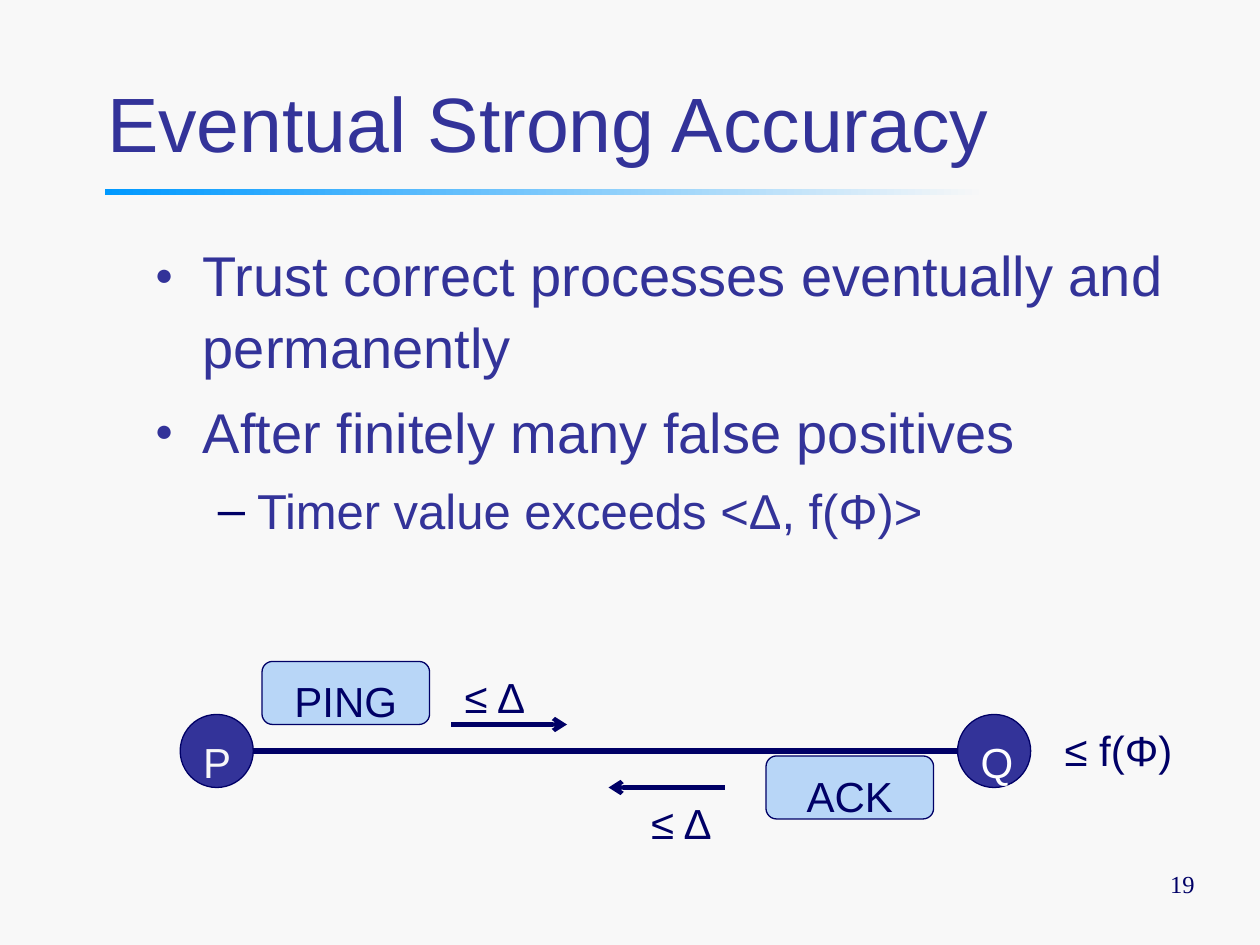
import lxml.etree
import pptx
import pptx.dml.color
import pptx.enum.shapes
import pptx.enum.text
import pptx.oxml.ns
import pptx.util
from pptx.util import Inches

NAVY, INDIGO, PALE, PAPER = "000066", "333399", "B8D6F7", "F8F8F8"
ALIGN = pptx.enum.text.PP_ALIGN
ANCHOR = pptx.enum.text.MSO_ANCHOR
SHAPE = pptx.enum.shapes.MSO_SHAPE
DIAMETER = 0.58
TAG_SIZE = (1.33, 0.5)


def color(value):
    return pptx.dml.color.RGBColor.from_string(value)


def add_element(parent, name, **attributes):
    return lxml.etree.SubElement(parent, pptx.oxml.ns.qn(name), attributes)


def place(shape, left, top, width, height):
    shape.left, shape.top = Inches(left), Inches(top)
    shape.width, shape.height = Inches(width), Inches(height)


def write(para, text, size=24, font="Arial", ink=NAVY, align=ALIGN.LEFT,
          before=0, spacing=1.0):
    para.alignment = align
    para.space_before = pptx.util.Pt(before)
    para.line_spacing = spacing
    span = para.add_run()
    span.text = text
    span.font.size = pptx.util.Pt(size)
    span.font.name = font
    span.font.color.rgb = color(ink)


def set_frame(shape, anchor=ANCHOR.TOP, wrap=True, top=0.05):
    frame = shape.text_frame
    frame.auto_size = pptx.enum.text.MSO_AUTO_SIZE.NONE
    frame.word_wrap = wrap
    frame.vertical_anchor = anchor
    frame.margin_left = frame.margin_right = Inches(0.1)
    frame.margin_top, frame.margin_bottom = Inches(top), Inches(0.05)
    return frame


def set_bullet(para, char, ink, percent, left, hanging):
    properties = para._p.get_or_add_pPr()
    properties.set("marL", str(Inches(left)))
    properties.set("indent", str(-Inches(hanging)))
    add_element(add_element(properties, "a:buClr"), "a:srgbClr", val=ink)
    add_element(properties, "a:buSzPct", val=str(percent * 1000))
    add_element(properties, "a:buFont", typeface="Arial")
    add_element(properties, "a:buChar", char=char)


def add_title(page, text):
    title = page.shapes.title
    place(title, 0.75, 0.17, 8.5, 1.21)
    frame = set_frame(title, ANCHOR.BOTTOM)
    write(frame.paragraphs[0], text, size=44, ink=INDIGO)


def add_title_rule(page):
    rule = page.shapes.add_shape(
        SHAPE.RECTANGLE, Inches(0.83), Inches(1.5), Inches(7), Inches(0.05))
    rule.shadow.inherit = False
    rule.line.fill.background()
    rule.fill.gradient()
    rule.fill.gradient_angle = 0
    for stop, ink in zip(rule.fill.gradient_stops, ("0099FF", PAPER)):
        stop.color.rgb = color(ink)


def add_body(page, items):
    body = page.placeholders[1]
    place(body, 1.13, 1.83, 8.45, 2.58)
    frame = set_frame(body)
    for index, (level, text) in enumerate(items):
        para = frame.add_paragraph() if index else frame.paragraphs[0]
        para.level = level
        if level:
            set_bullet(para, "–", NAVY, 100, 0.81, 0.31)
        else:
            set_bullet(para, "●", INDIGO, 55, 0.38, 0.38)
        write(para, text, size=28 if level else 32, ink=INDIGO,
              before=(7 if level else 8) if index else 0, spacing=1.06)


def add_box(page, kind, text, left, top, size, fill, **text_format):
    box = page.shapes.add_shape(
        kind, Inches(left), Inches(top), *map(Inches, size))
    box.shadow.inherit = False
    box.fill.solid()
    box.fill.fore_color.rgb = color(fill)
    box.line.color.rgb = color(NAVY)
    box.line.width = pptx.util.Pt(0.75)
    frame = set_frame(box, top=0.09)
    write(frame.paragraphs[0], text, **text_format)


def add_label(page, text, left, top, width, anchor=ANCHOR.TOP, wrap=False,
              **text_format):
    label = page.shapes.add_textbox(
        Inches(left), Inches(top), Inches(width), Inches(0.5))
    frame = set_frame(label, anchor, wrap, top=0.08)
    write(frame.paragraphs[0], text, **text_format)


def style_line(line, weight, head=None):
    line.color.rgb = color(NAVY)
    line.width = pptx.util.Pt(weight)
    if head:
        add_element(line._get_or_add_ln(), "a:tailEnd", type=head)


def add_line(page, start, end, weight, head=None):
    connector = page.shapes.add_connector(
        pptx.enum.shapes.MSO_CONNECTOR.STRAIGHT,
        *map(Inches, start + end))
    style_line(connector.line, weight, head)
    add_element(connector._element.spPr, "a:effectLst")


def bezier_points(controls, steps=16):
    """Return the points along a cubic curve, without its first point."""
    points = []
    for step in range(1, steps + 1):
        t = step / steps
        weights = ((1 - t) ** 3, 3 * t * (1 - t) ** 2,
                   3 * t ** 2 * (1 - t), t ** 3)
        points.append(tuple(
            sum(weight * point[axis] for weight, point in zip(weights, controls))
            for axis in (0, 1)))
    return points


def add_processing_arc(page):
    start, bend, end = (7.83, 5.5), (8.32, 5.92), (7.83, 6.42)
    points = bezier_points((start, (8.08, 5.64), (8.32, 5.77), bend))
    points += bezier_points((bend, (8.32, 6.08), (7.93, 6.33), end))
    builder = page.shapes.build_freeform(*start, scale=Inches(1))
    builder.add_line_segments(points, close=False)
    arc = builder.convert_to_shape()
    arc.shadow.inherit = False
    arc.fill.background()
    style_line(arc.line, 2.5, "triangle")


def add_message_diagram(page):
    left_process, right_process, axis = 1.43, 7.6, 5.96
    for name, left, ink in (("P", left_process, PAPER),
                            ("Q", right_process, "FFFFFF")):
        add_box(page, SHAPE.OVAL, name, left, axis - DIAMETER / 2,
                (DIAMETER, DIAMETER), INDIGO, ink=ink)
    add_line(page, (left_process + DIAMETER, axis), (right_process, axis), 3)
    for name, left, top in (("PING", 2.08, 5.25), ("ACK", 6.08, 6)):
        add_box(page, SHAPE.ROUNDED_RECTANGLE, name, left, top, TAG_SIZE, PALE,
                align=ALIGN.CENTER)
    for start, end, level in ((3.58, 4.5, 5.75), (5.75, 4.83, 6.25)):
        add_line(page, (start, level), (end, level), 2.5, "arrow")
    for text, left, top, width in (("≤ Δ", 3.59, 5.25, 0.7),
                                   ("≤ Δ", 5.07, 6.25, 0.7),
                                   ("≤ f(Φ)", 8.35, 5.67, 1.05)):
        add_label(page, text, left, top, width)
    add_processing_arc(page)


def main():
    deck = pptx.Presentation()
    deck.slide_width, deck.slide_height = Inches(10), Inches(7.5)
    page = deck.slides.add_slide(deck.slide_layouts[1])
    page.background.fill.solid()
    page.background.fill.fore_color.rgb = color(PAPER)
    add_title(page, "Eventual Strong Accuracy")
    add_title_rule(page)
    add_body(page, [
        (0, "Trust correct processes eventually and permanently"),
        (0, "After finitely many false positives"),
        (1, "Timer value exceeds <Δ, f(Φ)>"),
    ])
    add_message_diagram(page)
    add_label(page, "19", 7.5, 6.75, 2.08, anchor=ANCHOR.MIDDLE, wrap=True,
              size=14, font="Times New Roman", align=ALIGN.RIGHT)
    deck.save("out.pptx")


if __name__ == "__main__":
    main()
